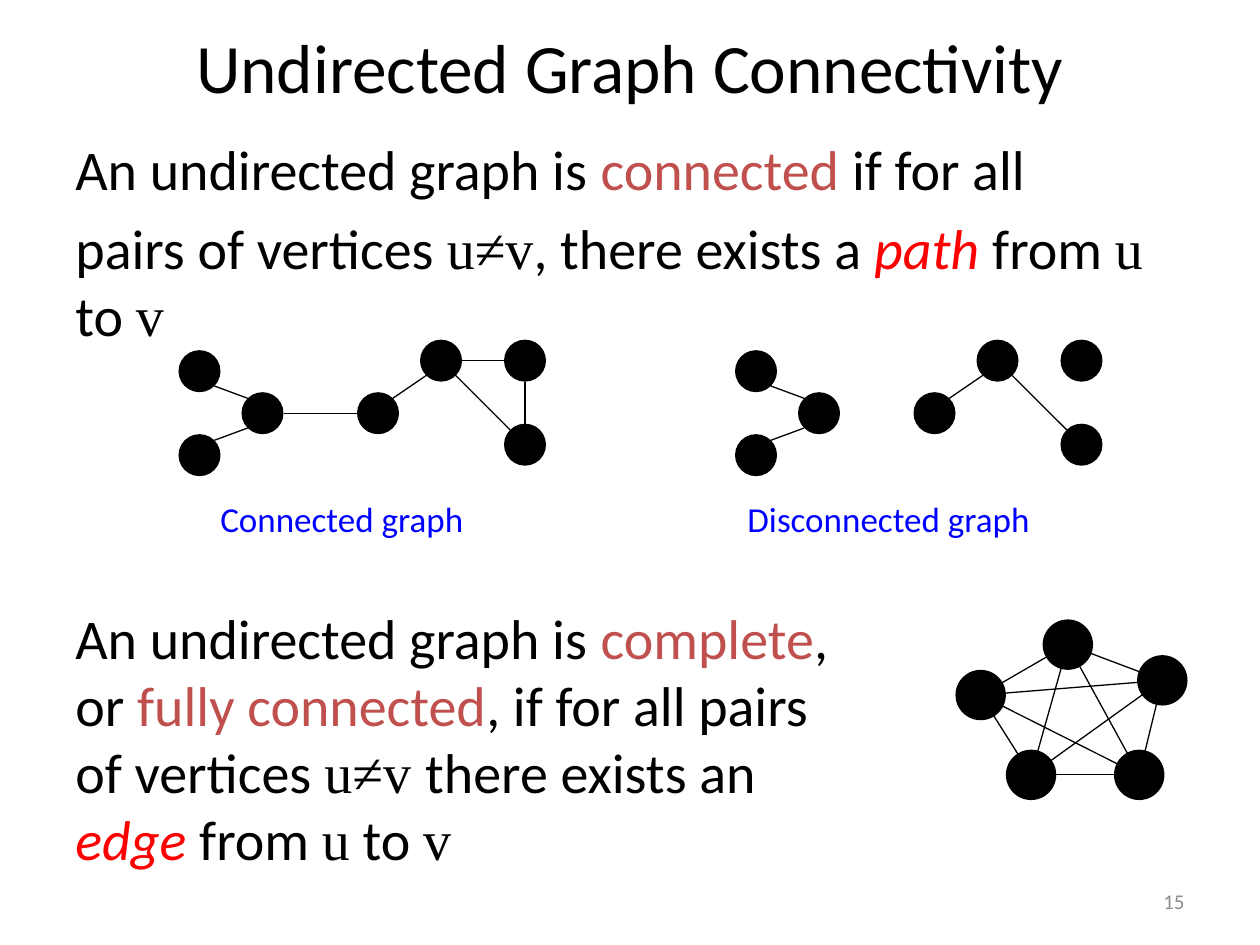
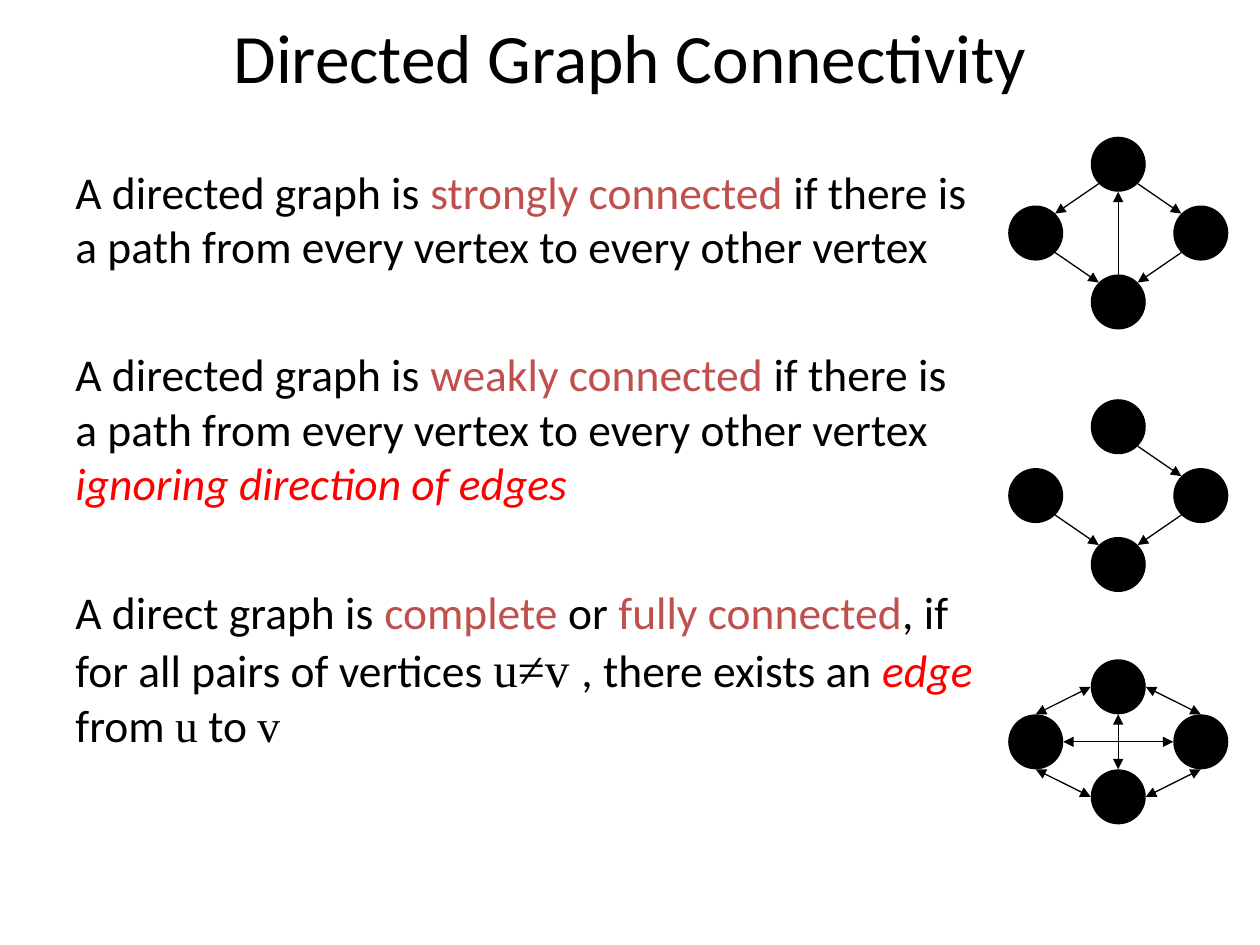
"""Build two slides on the connectivity of undirected and directed graphs."""
from dataclasses import dataclass
from itertools import combinations
from math import hypot, sqrt

from lxml.etree import SubElement
from pptx import Presentation
from pptx.dml.color import RGBColor
from pptx.enum.shapes import MSO_CONNECTOR, MSO_SHAPE
from pptx.enum.text import MSO_ANCHOR, MSO_AUTO_SIZE, PP_ALIGN
from pptx.oxml.ns import qn
from pptx.util import Inches, Pt


@dataclass(frozen=True)
class Theme:
    """Colours, fonts and type sizes of the deck."""
    ink: str = "000000"
    term: str = "C0504D"
    stress: str = "FF0000"
    label: str = "0000FF"
    number: str = "8C8C8C"
    text_font: str = "Calibri"
    vertex_font: str = "Times New Roman"
    title_size: float = 39.6
    label_size: float = 20
    number_size: float = 12
    edge_width: float = 0.75


THEME = Theme()
STYLES = {
    "plain": {},
    "term": {"color": THEME.term},
    "stress": {"color": THEME.stress, "italic": True},
    "vertex": {"font": THEME.vertex_font},
}
CELLS_PER_INCH = 12
TITLE_LAYOUT = 5
DIAGONAL = sqrt(0.5)
SITES = {
    "n": (0, -1), "e": (1, 0), "s": (0, 1), "w": (-1, 0),
    "ne": (DIAGONAL, -DIAGONAL), "se": (DIAGONAL, DIAGONAL),
    "sw": (-DIAGONAL, DIAGONAL), "nw": (-DIAGONAL, -DIAGONAL),
}

FORK_EDGES = [(2, "nw", 0, "se"), (2, "sw", 1, "ne"),
              (4, "sw", 3, "ne"), (4, "se", 6, "nw")]
BRIDGE_EDGES = [(5, "s", 6, "n"), (5, "w", 4, "e"), (3, "w", 2, "e")]
SPREAD_NODES = [(0, 1), (0, 9), (6, 5), (17, 5), (23, 0), (31, 0), (31, 8)]
PENTAGON_NODES = [(8.3, 0), (17.3, 3.4), (15.1, 12.4), (4.8, 12.4), (0, 4.8)]

TOP, RIGHT, BOTTOM, LEFT = range(4)
WEAK_EDGES = [(TOP, "se", RIGHT, "nw"), (RIGHT, "sw", BOTTOM, "ne"),
              (LEFT, "se", BOTTOM, "nw")]
STRONG_EDGES = WEAK_EDGES + [(TOP, "sw", LEFT, "ne"), (BOTTOM, "n", TOP, "s")]
MUTUAL_EDGES = [(BOTTOM, "n", TOP, "s"), (LEFT, "e", RIGHT, "w"),
                (TOP, "w", LEFT, "n"), (TOP, "e", RIGHT, "n"),
                (RIGHT, "s", BOTTOM, "e"), (BOTTOM, "w", LEFT, "s")]

UNDIRECTED_TEXT = [
    (0, [("An undirected graph is ", "plain"), ("connected", "term"),
         (" if for all", "plain")]),
    (6.4, [("pairs of vertices ", "plain"), ("u≠v", "vertex"),
           (", there exists a ", "plain"), ("path ", "stress"),
           ("from ", "plain"), ("u ", "vertex"), ("to ", "plain"),
           ("v", "vertex")]),
    (146, [("An undirected graph is ", "plain"), ("complete", "term"),
           (", \nor ", "plain"), ("fully connected", "term"),
           (", if for all pairs \nof vertices ", "plain"),
           ("u≠v ", "vertex"), ("there exists an \n", "plain"),
           ("edge ", "stress"), ("from ", "plain"), ("u", "vertex"),
           (" to ", "plain"), ("v", "vertex")]),
]
DIRECTED_TEXT = [
    (0, [("A directed graph is ", "plain"), ("strongly connected", "term"),
         (" if there is a path from every vertex to every other vertex",
          "plain")]),
    (42, [("A directed graph is ", "plain"), ("weakly connected", "term"),
          (" if there is a path from every vertex to every other vertex ",
           "plain"), ("ignoring direction of edges", "stress")]),
    (42, [("A direct graph is ", "plain"), ("complete", "term"),
          (" or ", "plain"), ("fully connected", "term"),
          (", if for all pairs of vertices ", "plain"),
          ("u≠v ", "vertex", 28), (", there exists an ", "plain"),
          ("edge", "stress"), (" from ", "plain"), ("u", "vertex"),
          (" to ", "plain"), ("v", "vertex")]),
]


def cells(count):
    """Turn a number of grid cells into a length."""
    return Inches(count / CELLS_PER_INCH)


def write(para, text, size, color=THEME.ink, font=THEME.text_font,
          italic=False):
    """Add formatted text to a paragraph, with a line break at each newline."""
    for index, line in enumerate(text.split("\n")):
        if index:
            para.add_line_break()
        if line:
            span = para.add_run()
            span.text = line
            span.font.size = Pt(size)
            span.font.name = font
            span.font.italic = italic
            span.font.color.rgb = RGBColor.from_string(color)


def add_box(slide, left, top, width, height, wrap=True):
    """Add a text box and return its text frame."""
    box = slide.shapes.add_textbox(*map(cells, (left, top, width, height)))
    box.text_frame.word_wrap = wrap
    return box.text_frame


def add_titled_slide(deck, title, top):
    """Add a slide with its title placed on the shared band."""
    slide = deck.slides.add_slide(deck.slide_layouts[TITLE_LAYOUT])
    holder = slide.shapes.title
    holder.left, holder.top = cells(6), cells(top)
    holder.width, holder.height = cells(108), cells(8.64)
    frame = holder.text_frame
    frame.auto_size = MSO_AUTO_SIZE.NONE
    frame.vertical_anchor = MSO_ANCHOR.MIDDLE
    frame.paragraphs[0].alignment = PP_ALIGN.CENTER
    write(frame.paragraphs[0], title, THEME.title_size)
    return slide


def add_body(slide, paragraphs, size, top, width, height):
    """Add the definitions, each with its space before in points."""
    frame = add_box(slide, 6, top, width, height)
    for index, (space, spans) in enumerate(paragraphs):
        para = frame.add_paragraph() if index else frame.paragraphs[0]
        para.space_before = Pt(space)
        for text, style, *own_size in spans:
            write(para, text, own_size[0] if own_size else size,
                  **STYLES[style])


def add_label(slide, text, left, width):
    """Add the name of a graph below it."""
    frame = add_box(slide, left, 46.8, width, 5.28, wrap=False)
    frame.auto_size = MSO_AUTO_SIZE.SHAPE_TO_FIT_TEXT
    write(frame.paragraphs[0], text, THEME.label_size, color=THEME.label)


def add_page_number(slide, number):
    """Add the page number at the lower right."""
    frame = add_box(slide, 86, 83.4, 28, 4.8)
    frame.vertical_anchor = MSO_ANCHOR.MIDDLE
    frame.paragraphs[0].alignment = PP_ALIGN.RIGHT
    write(frame.paragraphs[0], number, THEME.number_size, color=THEME.number)


def add_node(group, center, radius):
    """Add one round vertex."""
    column, row = center
    node = group.shapes.add_shape(
        MSO_SHAPE.OVAL, cells(column - radius), cells(row - radius),
        cells(2 * radius), cells(2 * radius))
    node.shadow.inherit = False
    node.fill.solid()
    node.fill.fore_color.rgb = RGBColor.from_string(THEME.ink)
    node.line.fill.background()


def add_edge(group, start, end, arrows=()):
    """Add one straight edge, with arrowheads at the ends named in arrows."""
    edge = group.shapes.add_connector(
        MSO_CONNECTOR.STRAIGHT, *map(cells, (*start, *end)))
    edge.line.width = Pt(THEME.edge_width)
    edge.line.color.rgb = RGBColor.from_string(THEME.ink)
    for arrow in arrows:
        SubElement(edge.line._get_or_add_ln(), qn(f"a:{arrow}"),
                   type="triangle")
    SubElement(edge._element.spPr, qn("a:effectLst"))


def rim_point(center, site, radius):
    """Return the point of a vertex rim at a compass site."""
    return tuple(middle + radius * share
                 for middle, share in zip(center, SITES[site]))


def add_graph(slide, centers, edges, radius, arrows=()):
    """Add a grouped graph whose edges join compass sites of its vertices."""
    group = slide.shapes.add_group_shape()
    for center in centers:
        add_node(group, center, radius)
    for first, first_site, second, second_site in edges:
        add_edge(group, rim_point(centers[first], first_site, radius),
                 rim_point(centers[second], second_site, radius), arrows)


def add_complete_graph(slide, centers, radius):
    """Add a grouped graph with an edge between every two vertices."""
    group = slide.shapes.add_group_shape()
    for center in centers:
        add_node(group, center, radius)
    for (left, top), (right, bottom) in combinations(centers, 2):
        inset = radius / 2 / hypot(right - left, bottom - top)
        across, down = (right - left) * inset, (bottom - top) * inset
        add_edge(group, (left + across, top + down),
                 (right - across, bottom - down))


def shifted(centers, left, top):
    """Move grid points by a number of columns and rows."""
    return [(left + column, top + row) for column, row in centers]


def diamond(middle_row, half_height):
    """Return the top, right, bottom and left vertices of a diamond."""
    return shifted([(0, -half_height), (7.86, 0), (0, half_height),
                    (-7.86, 0)], 106.5, middle_row)


def build_undirected(deck):
    """Build the slide on undirected graphs."""
    slide = add_titled_slide(deck, "Undirected Graph Connectivity", 1.92)
    add_body(slide, UNDIRECTED_TEXT, 32, 12.24, 108, 68.16)
    add_page_number(slide, "15")
    for left, edges in ((19, FORK_EDGES + BRIDGE_EDGES), (72, FORK_EDGES)):
        add_graph(slide, shifted(SPREAD_NODES, left, 34.35), edges, 2)
    add_label(slide, "Connected graph", 19.8, 27.24)
    add_label(slide, "Disconnected graph", 70, 30.96)
    add_complete_graph(slide, shifted(PENTAGON_NODES, 93.4, 61.4), 2.4)


def build_directed(deck):
    """Build the slide on directed graphs."""
    slide = add_titled_slide(deck, "Directed Graph Connectivity", 0.96)
    add_body(slide, DIRECTED_TEXT, 26, 15, 88, 66.96)
    one_way, both_ways = ("tailEnd",), ("headEnd", "tailEnd")
    for middle_row, half_height, edges, arrows in (
            (22.2, 6.56, STRONG_EDGES, one_way),
            (47.2, 6.56, WEAK_EDGES, one_way),
            (70.65, 5.24, MUTUAL_EDGES, both_ways)):
        add_graph(slide, diamond(middle_row, half_height), edges, 2.62,
                  arrows)


def main():
    """Build and save the deck."""
    deck = Presentation()
    deck.slide_width, deck.slide_height = cells(120), cells(90)
    build_undirected(deck)
    build_directed(deck)
    deck.save("out.pptx")


if __name__ == "__main__":
    main()
